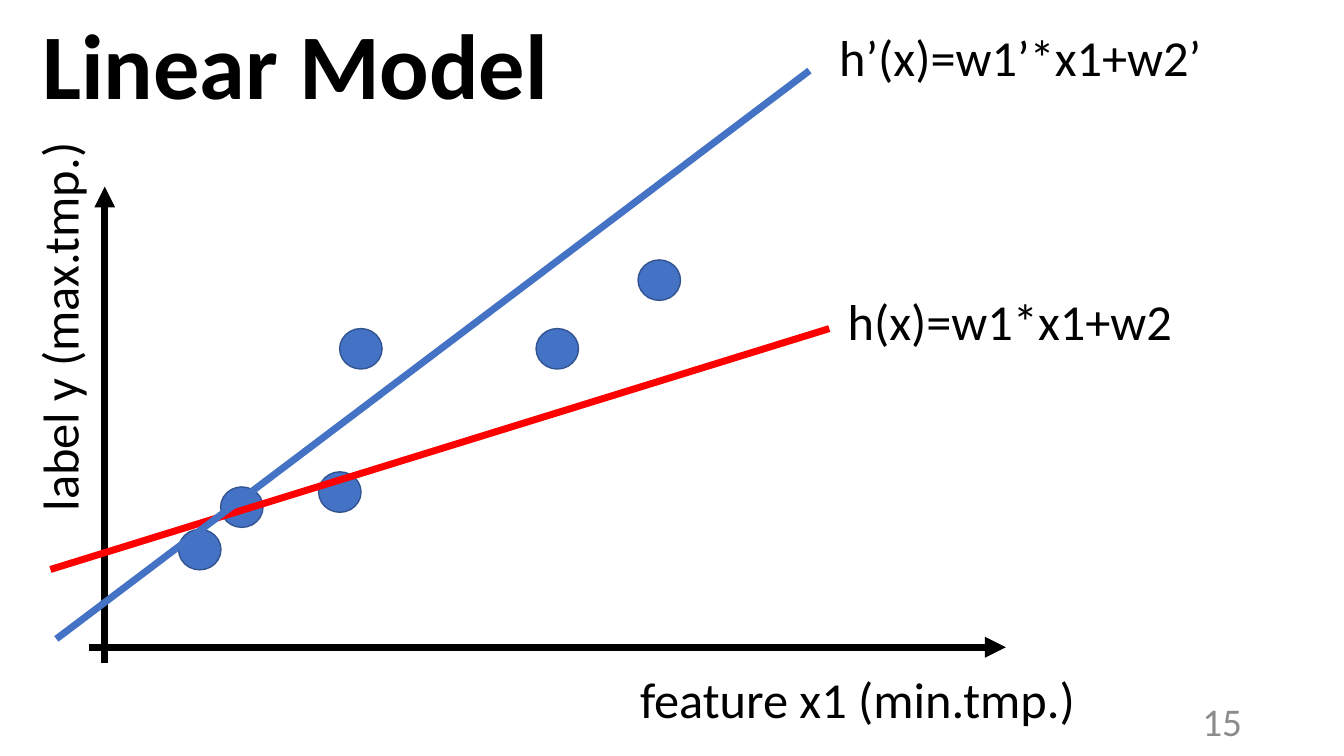
from lxml.etree import SubElement
from pptx import Presentation
from pptx.dml.color import RGBColor
from pptx.enum.shapes import MSO_CONNECTOR as Connector, MSO_SHAPE as Shape
from pptx.enum.text import MSO_ANCHOR as Anchor, MSO_AUTO_SIZE as AutoSize, PP_ALIGN as Align
from pptx.oxml.ns import qn
from pptx.util import Cm, Pt

BLACK = RGBColor(0x00, 0x00, 0x00)
GRAY = RGBColor(0x8C, 0x8C, 0x8C)
BLUE = RGBColor(0x44, 0x72, 0xC4)
DARK_BLUE = RGBColor(0x32, 0x54, 0x91)
RED = RGBColor(0xFF, 0x00, 0x00)

DATA_POINTS = [
    (4.5, 13.34), (5.56, 12.27), (8.56, 8.28),
    (13.51, 8.28), (16.08, 6.55), (8.03, 11.89),
]


class PlotSlide:
    font_name = "Calibri"
    label_size = 36
    line_width = 5
    dot_width, dot_height = 1.07, 1.02

    def __init__(self, presentation):
        self.slide = presentation.slides.add_slide(presentation.slide_layouts[5])
        self.shapes = self.slide.shapes

    def set_text(self, shape, text, size, color=BLACK, bold=False, align=Align.LEFT):
        shape.text_frame.text = text
        paragraph = shape.text_frame.paragraphs[0]
        paragraph.alignment = align
        font = paragraph.runs[0].font
        font.name, font.size, font.bold = self.font_name, Pt(size), bold
        font.color.rgb = color
        return paragraph

    def title(self, text, left, top, width, height):
        shape = self.shapes.title
        shape.left, shape.top = Cm(left), Cm(top)
        shape.width, shape.height = Cm(width), Cm(height)
        shape.text_frame.auto_size = AutoSize.NONE
        shape.text_frame.vertical_anchor = Anchor.MIDDLE
        self.set_text(shape, text, 66, bold=True).line_spacing = 0.9

    def label(self, text, left, top, width, height=1.8, rotation=0):
        shape = self.shapes.add_textbox(Cm(left), Cm(top), Cm(width), Cm(height))
        shape.rotation = rotation
        shape.text_frame.word_wrap = False
        shape.text_frame.auto_size = AutoSize.SHAPE_TO_FIT_TEXT
        self.set_text(shape, text, self.label_size)

    def page_number(self, text, left, top, width, height):
        shape = self.shapes.add_textbox(Cm(left), Cm(top), Cm(width), Cm(height))
        shape.text_frame.word_wrap = True
        shape.text_frame.vertical_anchor = Anchor.MIDDLE
        self.set_text(shape, text, 28, GRAY, align=Align.RIGHT)

    def line(self, start, end, color, arrow=False):
        connector = self.shapes.add_connector(
            Connector.STRAIGHT, *map(Cm, start), *map(Cm, end))
        connector.line.color.rgb = color
        connector.line.width = Pt(self.line_width)
        properties = connector._element.spPr
        if arrow:
            SubElement(properties.find(qn("a:ln")), qn("a:tailEnd"), type="triangle")
        SubElement(properties, qn("a:effectLst"))

    def dot(self, left, top):
        shape = self.shapes.add_shape(
            Shape.OVAL, Cm(left), Cm(top), Cm(self.dot_width), Cm(self.dot_height))
        shape.shadow.inherit = False
        shape.fill.solid()
        shape.fill.fore_color.rgb = BLUE
        shape.line.color.rgb = DARK_BLUE
        shape.line.width = Pt(1)


def main():
    presentation = Presentation()
    presentation.slide_width, presentation.slide_height = Cm(33.87), Cm(19.05)
    plot = PlotSlide(presentation)

    plot.title("Linear Model", 0.81, -0.08, 33.05, 3.68)
    plot.page_number("15", 23.93, 17.65, 7.62, 1.02)

    plot.line((2.24, 16.31), (25.35, 16.31), BLACK, arrow=True)
    plot.line((2.64, 16.71), (2.64, 4.7), BLACK, arrow=True)
    plot.label("feature x1 (min.tmp.)", 15.88, 16.71, 11.86)
    plot.label("label y (max.tmp.)", -3.61, 7.14, 10.19, rotation=270)

    for left, top in DATA_POINTS:
        plot.dot(left, top)

    plot.line((1.27, 14.35), (20.9, 8.28), RED)
    plot.label("h(x)=w1*x1+w2", 21.11, 7.19, 8.76)
    plot.line((1.42, 16.1), (20.4, 1.78), BLUE)
    plot.label("h’(x)=w1’*x1+w2’", 20.9, 0.53, 9.73)

    presentation.save("out.pptx")


if __name__ == "__main__":
    main()
